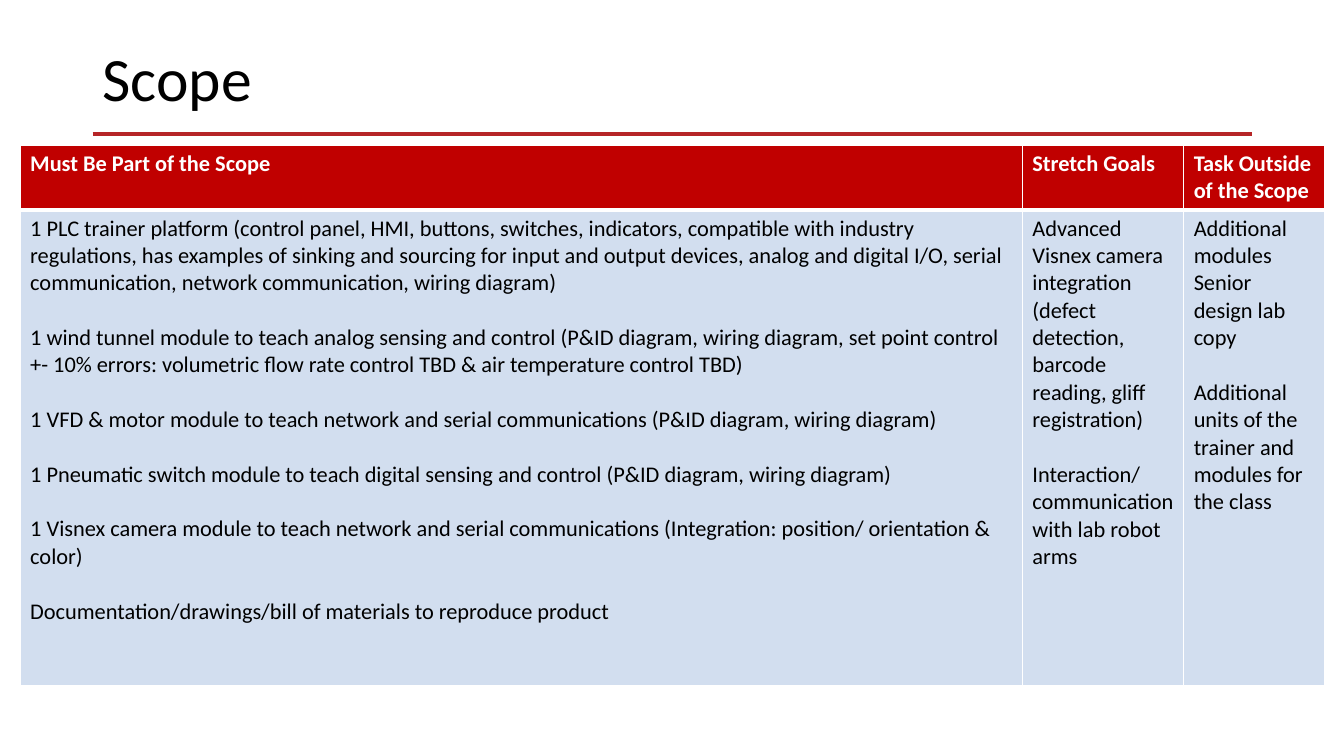
from lxml.etree import SubElement
from pptx import Presentation
from pptx.dml.color import RGBColor
from pptx.enum.shapes import MSO_CONNECTOR
from pptx.enum.text import MSO_ANCHOR
from pptx.oxml.ns import qn
from pptx.util import Inches, Pt

BLACK = RGBColor(0x00, 0x00, 0x00)
WHITE = RGBColor(0xFF, 0xFF, 0xFF)
RULE_RED = RGBColor(0xB6, 0x25, 0x27)
HEADER_RED = RGBColor(0xC0, 0x00, 0x00)
BODY_BLUE = RGBColor(0xD2, 0xDE, 0xEF)
FONT = "Calibri"
BLANK_LINE = Pt(19.5)

SCOPE_COLUMNS = [
    (9.94, "Must Be Part of the Scope", [
        ("1 PLC trainer platform (control panel, HMI, buttons, switches, indicators, "
         "compatible with industry regulations, has examples of sinking and sourcing "
         "for input and output devices, analog and digital I/O, serial communication, "
         "network communication, wiring diagram)", 0),
        ("1 wind tunnel module to teach analog sensing and control (P&ID diagram, "
         "wiring diagram, set point control +- 10% errors: volumetric flow rate "
         "control TBD & air temperature control TBD)", BLANK_LINE),
        ("1 VFD & motor module to teach network and serial communications "
         "(P&ID diagram, wiring diagram)", BLANK_LINE),
        ("1 Pneumatic switch module to teach digital sensing and control "
         "(P&ID diagram, wiring diagram)", BLANK_LINE),
        ("1 Visnex camera module to teach network and serial communications "
         "(Integration: position/ orientation & color)", BLANK_LINE),
        ("Documentation/drawings/bill of materials to reproduce product", BLANK_LINE),
    ]),
    (1.6, "Stretch Goals", [
        ("Advanced Visnex camera integration (defect detection, barcode reading, "
         "gliff registration)", 0),
        ("Interaction/ communication with lab robot arms", BLANK_LINE),
    ]),
    (1.4, "Task Outside of the Scope", [
        ("Additional modules", 0),
        ("Senior design lab copy", 0),
        ("Additional units of the trainer and modules for the class", BLANK_LINE),
    ]),
]


def style_font(paragraph, size, color, bold=False):
    font = paragraph.font
    font.name = FONT
    font.size = Pt(size)
    font.bold = bold
    font.color.rgb = color


def fill_cell(cell, paragraphs, fill, color, bold, top, bottom):
    properties = cell._tc.get_or_add_tcPr()
    for side, width in (("lnL", 1), ("lnR", 1), ("lnT", top), ("lnB", bottom)):
        border = SubElement(properties, qn(f"a:{side}"), w=str(Pt(width)))
        solid = SubElement(border, qn("a:solidFill"))
        SubElement(solid, qn("a:srgbClr"), val=str(WHITE))
    cell.fill.solid()
    cell.fill.fore_color.rgb = fill
    frame = cell.text_frame
    frame.text = "\n".join(text for text, _ in paragraphs)
    for paragraph, (_, gap) in zip(frame.paragraphs, paragraphs):
        if gap:
            paragraph.space_before = gap
        style_font(paragraph, 16, color, bold)


prs = Presentation()
prs.slide_width = Inches(13.33)
prs.slide_height = Inches(7.5)
slide = prs.slides.add_slide(prs.slide_layouts[6])

title_rule = slide.shapes.add_connector(
    MSO_CONNECTOR.STRAIGHT, Inches(0.92), Inches(1.33), Inches(12.42), Inches(1.33))
title_rule.line.color.rgb = RULE_RED
title_rule.line.width = Pt(2.25)
SubElement(title_rule._element.spPr, qn("a:effectLst"))

title = slide.shapes.add_textbox(Inches(0.92), Inches(0.4), Inches(11.5), Inches(0.82))
title.text_frame.word_wrap = True
title.text_frame.vertical_anchor = MSO_ANCHOR.MIDDLE
heading = title.text_frame.paragraphs[0]
heading.text = "Scope"
heading.line_spacing = 0.9
style_font(heading, 44, BLACK)

scope = slide.shapes.add_table(
    2, len(SCOPE_COLUMNS), Inches(0.2), Inches(1.44), Inches(12.94), Inches(5.36)).table
scope.rows[0].height = Inches(0.64)
scope.rows[1].height = Inches(4.72)
for index, (width, header, items) in enumerate(SCOPE_COLUMNS):
    scope.columns[index].width = Inches(width)
    fill_cell(scope.cell(0, index), [(header, 0)], HEADER_RED, WHITE, True, 1, 3)
    fill_cell(scope.cell(1, index), items, BODY_BLUE, BLACK, False, 3, 1)

prs.save("out.pptx")
